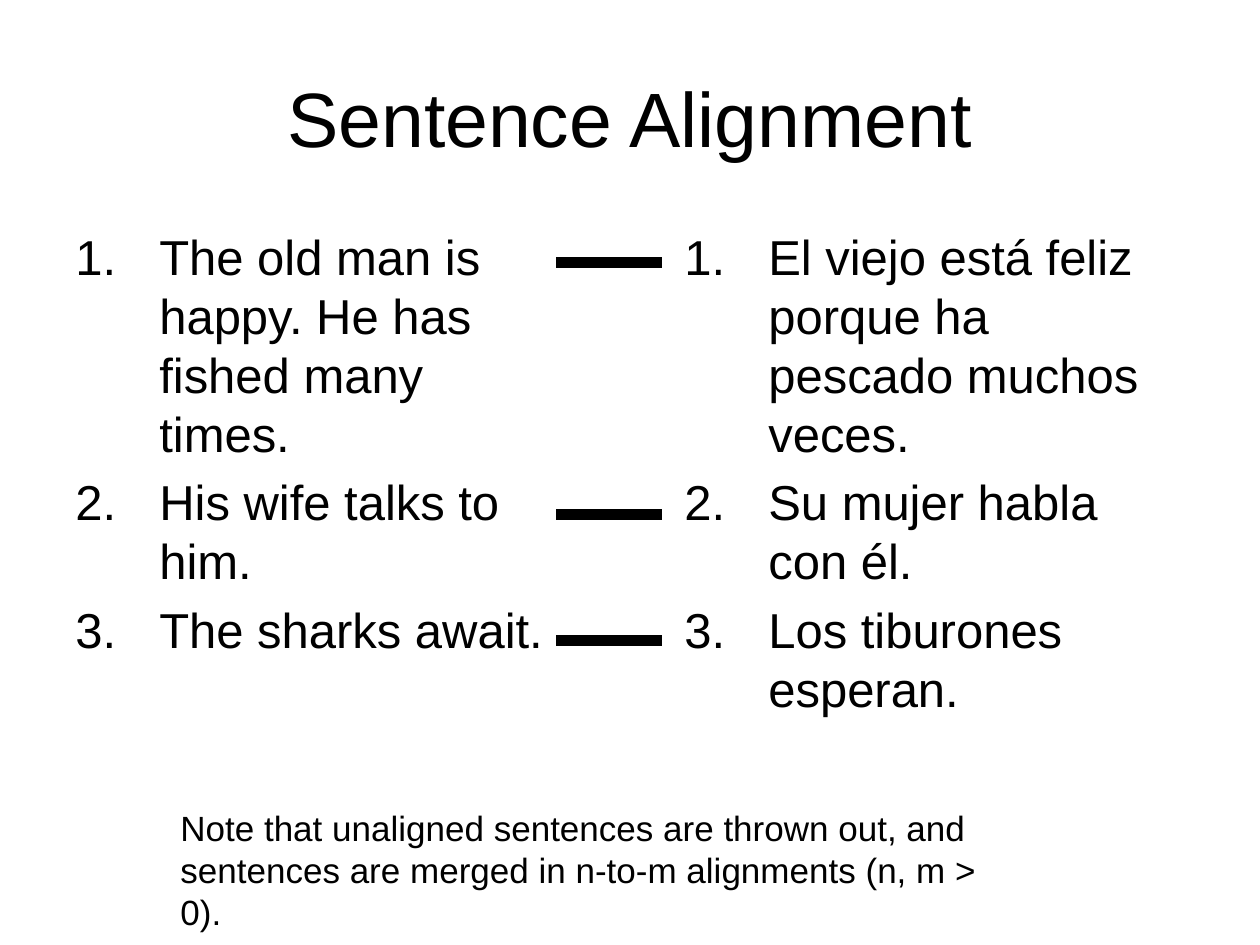
from dataclasses import dataclass

from lxml import etree
from pptx import Presentation
from pptx.dml.color import RGBColor
from pptx.enum.shapes import MSO_CONNECTOR
from pptx.enum.text import MSO_ANCHOR, PP_ALIGN
from pptx.oxml.ns import qn
from pptx.util import Emu, Inches, Pt

STRAIGHT = MSO_CONNECTOR.STRAIGHT
TOP, MIDDLE = MSO_ANCHOR.TOP, MSO_ANCHOR.MIDDLE
LEFT, CENTER = PP_ALIGN.LEFT, PP_ALIGN.CENTER

# The slide is 120 grid columns by 90 grid rows
GRID = Inches(10) // 120
COLUMNS, ROWS = 120, 90
COLORS = {"background": "FFFFFF", "ink": "000000"}
FONT = "Arial"
LIST_INDENT = 8


@dataclass(frozen=True)
class TextBlock:
    column: float
    row: float
    width: float
    height: float
    lines: tuple[str, ...]
    size: float
    numbered: bool = False
    align: PP_ALIGN = LEFT
    anchor: MSO_ANCHOR = TOP


def grid(units: float) -> Emu:
    return Emu(round(units * GRID))


def color(name: str) -> RGBColor:
    return RGBColor.from_string(COLORS[name])


def apply_format(target: object, values: dict) -> None:
    for name, value in values.items():
        setattr(target, name, value)


def number_paragraph(paragraph) -> None:
    properties = paragraph._p.get_or_add_pPr()
    properties.set("marL", str(grid(LIST_INDENT)))
    properties.set("indent", str(-grid(LIST_INDENT)))
    etree.SubElement(properties, qn("a:buFont"), typeface=FONT)
    etree.SubElement(properties, qn("a:buAutoNum"), type="arabicPeriod")


def draw_text(slide, block: TextBlock) -> None:
    shape = slide.shapes.add_textbox(
        *map(grid, (block.column, block.row, block.width, block.height)))
    frame = shape.text_frame
    apply_format(frame, {"word_wrap": True, "vertical_anchor": block.anchor})
    for index, line in enumerate(block.lines):
        paragraph = frame.add_paragraph() if index else frame.paragraphs[0]
        paragraph.alignment = block.align
        if block.numbered:
            paragraph.space_before = Pt(block.size * 0.2)
            number_paragraph(paragraph)
        run = paragraph.add_run()
        run.text = line
        apply_format(run.font, {"name": FONT, "size": Pt(block.size)})
        run.font.color.rgb = color("ink")


def draw_link(slide, start: float, end: float, row: float) -> None:
    link = slide.shapes.add_connector(
        STRAIGHT, grid(start), grid(row), grid(end), grid(row))
    link.line.width = Pt(6)
    link.line.color.rgb = color("ink")
    etree.SubElement(link._element.spPr, qn("a:effectLst"))


TITLE = TextBlock(6, 3.6, 108, 15, ("Sentence Alignment",), 44,
                  align=CENTER, anchor=MIDDLE)
ENGLISH = TextBlock(6, 21, 48, 59.4, (
    "The old man is happy. He has fished many times.",
    "His wife talks to him.",
    "The sharks await.",
), 28, numbered=True)
SPANISH = TextBlock(64, 21, 48, 59.4, (
    "El viejo está feliz porque ha pescado muchos veces.",
    "Su mujer habla con él.",
    "Los tiburones esperan.",
), 28, numbered=True)
NOTE = TextBlock(16, 76.2, 80.4, 9.2, (
    "Note that unaligned sentences are thrown out, and",
    "sentences are merged in n-to-m alignments (n, m > 0).",
), 20)
LINK_ROWS = (25, 49, 61)


def main() -> None:
    presentation = Presentation()
    apply_format(presentation, {"slide_width": grid(COLUMNS),
                                "slide_height": grid(ROWS)})
    slide = presentation.slides.add_slide(presentation.slide_layouts[6])
    slide.background.fill.solid()
    slide.background.fill.fore_color.rgb = color("background")

    # Title and the two sentence lists
    for block in (TITLE, ENGLISH, SPANISH):
        draw_text(slide, block)

    # Links between aligned sentences
    for row in LINK_ROWS:
        draw_link(slide, 53, 63, row)

    # Closing note
    draw_text(slide, NOTE)
    presentation.save("out.pptx")


if __name__ == "__main__":
    main()
